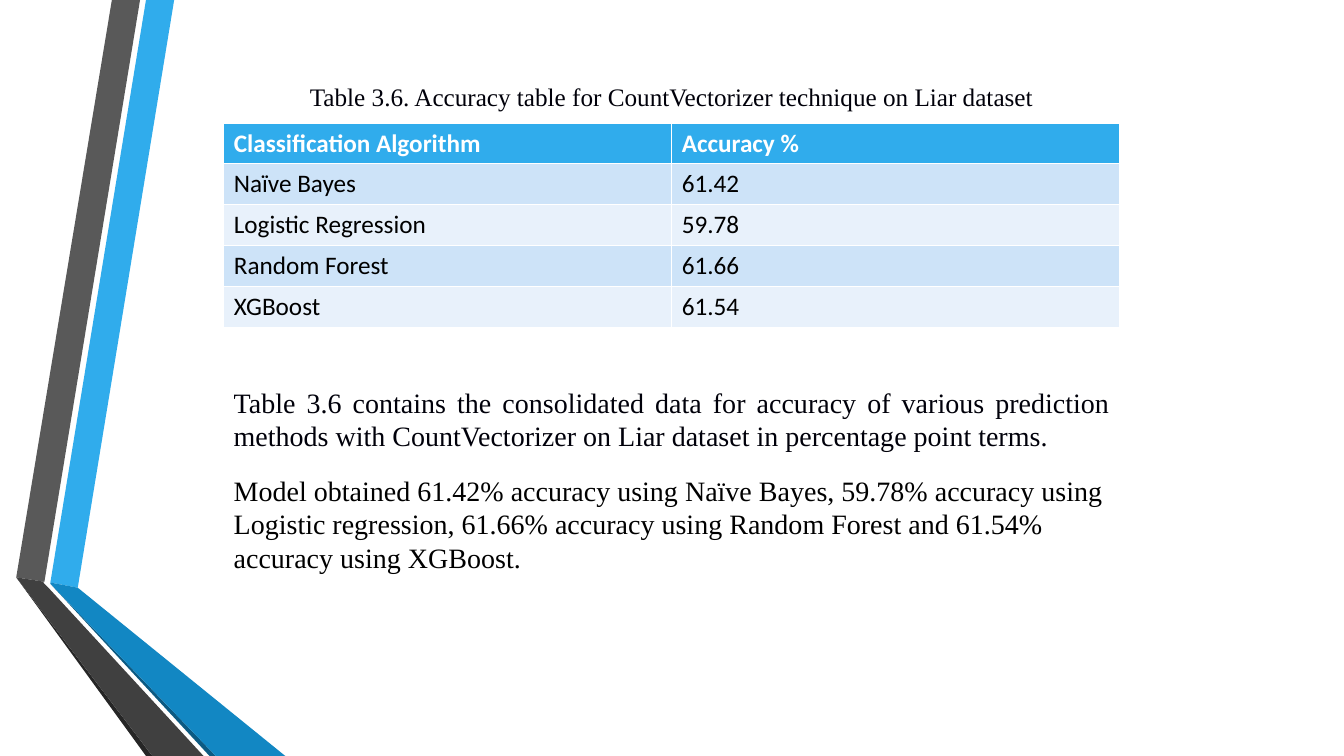
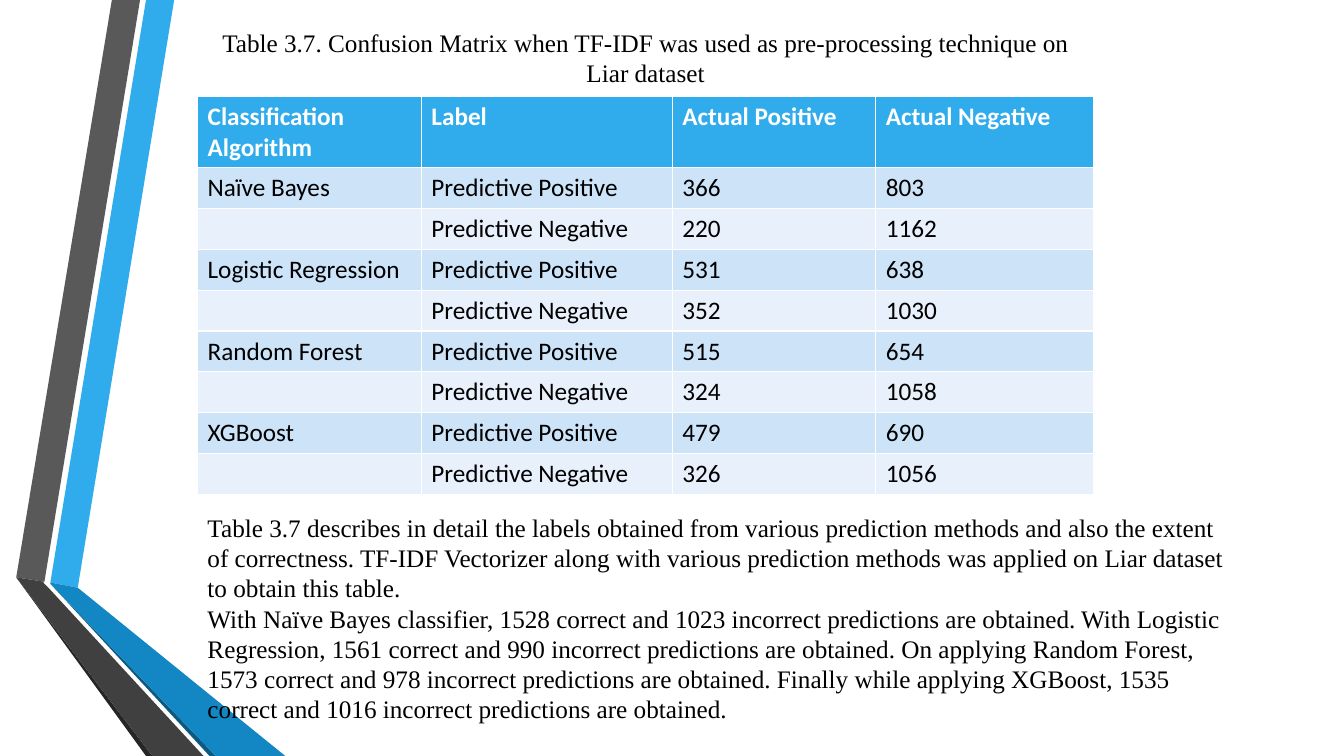
"""Two slides of classifier results on the Liar dataset, with shared side bands."""
from dataclasses import dataclass

from pptx import Presentation
from pptx.dml.color import RGBColor
from pptx.enum.text import MSO_AUTO_SIZE as AutoSize, PP_ALIGN as Align
from pptx.presentation import Presentation as Deck
from pptx.slide import Slide, SlideLayout
from pptx.util import Cm, Pt

SLIDE_WIDTH, SLIDE_HEIGHT = 33.87, 19.05
CONTENT_WIDTH = 22.58
ROW_HEIGHT = 1.03
TABLE_FONT, TEXT_FONT = "Calibri", "Times New Roman"
WHITE, BLACK, INK = "FFFFFF", "000000", "00000A"
SKY, OCEAN, NAVY = "30ACEC", "1287C3", "0C5A82"
GRAY, CHARCOAL, SOOT = "595959", "404040", "262626"
ROW_FILLS = ("CDE3F8", "E8F1FB")


@dataclass(frozen=True)
class Band:
    color: str
    points: tuple[tuple[float, float], ...]


@dataclass(frozen=True)
class TextLine:
    text: str
    size: int = 18
    color: str = BLACK
    align: Align = Align.LEFT
    line_spacing: float = 1.0
    space: int = 0


@dataclass(frozen=True)
class TextBlock:
    left: float
    top: float
    width: float
    height: float
    lines: tuple[TextLine, ...]


@dataclass(frozen=True)
class ResultTable:
    left: float
    top: float
    column_widths: tuple[float, ...]
    header_height: float
    rows: tuple[tuple[str, ...], ...]


@dataclass(frozen=True)
class ResultSlide:
    table: ResultTable
    texts: tuple[TextBlock, ...]


BANDS = (
    Band(SKY, ((1.27, 14.68), (1.96, 14.81), (4.39, 0), (3.68, 0))),
    Band(GRAY, ((3.53, 0), (2.82, 0), (0.41, 14.55), (1.12, 14.66))),
    Band(SOOT, ((0.41, 14.55), (3.68, SLIDE_HEIGHT), (3.84, SLIDE_HEIGHT))),
    Band(NAVY, ((1.27, 14.71), (5.28, SLIDE_HEIGHT), (5.44, SLIDE_HEIGHT))),
    Band(OCEAN, ((1.27, 14.68), (1.27, 14.71), (5.44, SLIDE_HEIGHT),
                 (7.19, SLIDE_HEIGHT), (1.96, 14.81))),
    Band(CHARCOAL, ((5.13, SLIDE_HEIGHT), (1.22, 14.81), (1.09, 14.68),
                    (1.12, 14.66), (0.41, 14.55), (3.84, SLIDE_HEIGHT))),
)

CONFUSION_COUNTS = {
    "Naïve Bayes": (("366", "803"), ("220", "1162")),
    "Logistic Regression": (("531", "638"), ("352", "1030")),
    "Random Forest": (("515", "654"), ("324", "1058")),
    "XGBoost": (("479", "690"), ("326", "1056")),
}
CONFUSION_ROWS = tuple(
    row
    for algorithm, (positive, negative) in CONFUSION_COUNTS.items()
    for row in ((algorithm, "Predictive Positive", *positive),
                ("", "Predictive Negative", *negative))
)

RESULT_SLIDES = (
    ResultSlide(
        ResultTable(5.64, 3.1, (CONTENT_WIDTH / 2,) * 2, ROW_HEIGHT, (
            ("Classification Algorithm", "Accuracy %"),
            ("Naïve Bayes", "61.42"),
            ("Logistic Regression", "59.78"),
            ("Random Forest", "61.66"),
            ("XGBoost", "61.54"),
        )),
        (
            TextBlock(5.64, 1.8, CONTENT_WIDTH, 1.14, (
                TextLine("Table 3.6. Accuracy table for CountVectorizer technique on Liar dataset",
                         color=INK, align=Align.CENTER, line_spacing=1.15),
            )),
            TextBlock(5.64, 9.58, CONTENT_WIDTH, 5.05, (
                TextLine("Table 3.6 contains the consolidated data for accuracy of various "
                         "prediction methods with CountVectorizer on Liar dataset in "
                         "percentage point terms.",
                         size=20, color=INK, align=Align.JUSTIFY, space=15),
                TextLine("Model obtained 61.42% accuracy using Naïve Bayes, 59.78% accuracy "
                         "using Logistic regression, 61.66% accuracy using Random Forest and "
                         "61.54% accuracy using XGBoost.", size=20),
            )),
        ),
    ),
    ResultSlide(
        ResultTable(4.98, 2.44, (5.64, 6.32, 5.13, 5.49), 1.78, (
            ("Classification Algorithm", "Label", "Actual Positive", "Actual Negative"),
            *CONFUSION_ROWS,
        )),
        (
            TextBlock(4.98, 0.56, CONTENT_WIDTH, 1.8, (
                TextLine("Table 3.7. Confusion Matrix when TF-IDF was used as pre-processing "
                         "technique on Liar dataset", align=Align.CENTER),
            )),
            TextBlock(4.98, 12.78, 26.47, 5.64, (
                TextLine("Table 3.7 describes in detail the labels obtained from various "
                         "prediction methods and also the extent of correctness. TF-IDF "
                         "Vectorizer along with various prediction methods was applied on "
                         "Liar dataset to obtain this table."),
                TextLine("With Naïve Bayes classifier, 1528 correct and 1023 incorrect "
                         "predictions are obtained. With Logistic Regression, 1561 correct "
                         "and 990 incorrect predictions are obtained. On applying Random "
                         "Forest, 1573 correct and 978 incorrect predictions are obtained. "
                         "Finally while applying XGBoost, 1535 correct and 1016 incorrect "
                         "predictions are obtained."),
            )),
        ),
    ),
)


def paint(target, color: str) -> None:
    target.solid() if hasattr(target, "solid") else None
    color_format = target.fore_color if hasattr(target, "solid") else target.color
    color_format.rgb = RGBColor.from_string(color)


def style_font(paragraph, name: str, size: int, color: str, bold: bool = False) -> None:
    font = paragraph.font
    font.name, font.size, font.bold = name, Pt(size), bold
    paint(font, color)


def add_bands(slide: Slide, layout: SlideLayout) -> None:
    for band in BANDS:
        start, *others = [(Cm(x), Cm(y)) for x, y in band.points]
        builder = slide.shapes.build_freeform(*start)
        builder.add_line_segments(others, close=True)
        shape = builder.convert_to_shape()
        shape.shadow.inherit = False
        paint(shape.fill, band.color)
        shape.line.fill.background()
        layout.shapes.element.append(shape.element)


def add_result_table(slide: Slide, result: ResultTable) -> None:
    height = result.header_height + ROW_HEIGHT * (len(result.rows) - 1)
    table = slide.shapes.add_table(
        len(result.rows), len(result.column_widths), Cm(result.left), Cm(result.top),
        Cm(sum(result.column_widths)), Cm(height)).table
    for column, width in zip(table.columns, result.column_widths):
        column.width = Cm(width)
    for index, values in enumerate(result.rows):
        header = index == 0
        table.rows[index].height = Cm(result.header_height if header else ROW_HEIGHT)
        for cell, value in zip(table.rows[index].cells, values):
            cell.text = value
            paint(cell.fill, SKY if header else ROW_FILLS[(index - 1) % 2])
            style_font(cell.text_frame.paragraphs[0], TABLE_FONT, 18,
                       WHITE if header else BLACK, header)


def add_text_block(slide: Slide, block: TextBlock) -> None:
    frame = slide.shapes.add_textbox(
        Cm(block.left), Cm(block.top), Cm(block.width), Cm(block.height)).text_frame
    frame.word_wrap = True
    frame.auto_size = AutoSize.SHAPE_TO_FIT_TEXT
    for index, line in enumerate(block.lines):
        paragraph = frame.add_paragraph() if index else frame.paragraphs[0]
        paragraph.text = line.text
        paragraph.alignment = line.align
        paragraph.line_spacing = line.line_spacing
        paragraph.space_before = paragraph.space_after = Pt(line.space)
        style_font(paragraph, TEXT_FONT, line.size, line.color)


def build_presentation() -> Deck:
    presentation = Presentation()
    presentation.slide_width = Cm(SLIDE_WIDTH)
    presentation.slide_height = Cm(SLIDE_HEIGHT)
    layout = presentation.slide_layouts[6]
    slides = [presentation.slides.add_slide(layout) for _ in RESULT_SLIDES]
    add_bands(slides[0], layout)
    for slide, content in zip(slides, RESULT_SLIDES):
        add_result_table(slide, content.table)
        for block in content.texts:
            add_text_block(slide, block)
    return presentation


def main() -> None:
    build_presentation().save("out.pptx")


if __name__ == "__main__":
    main()
